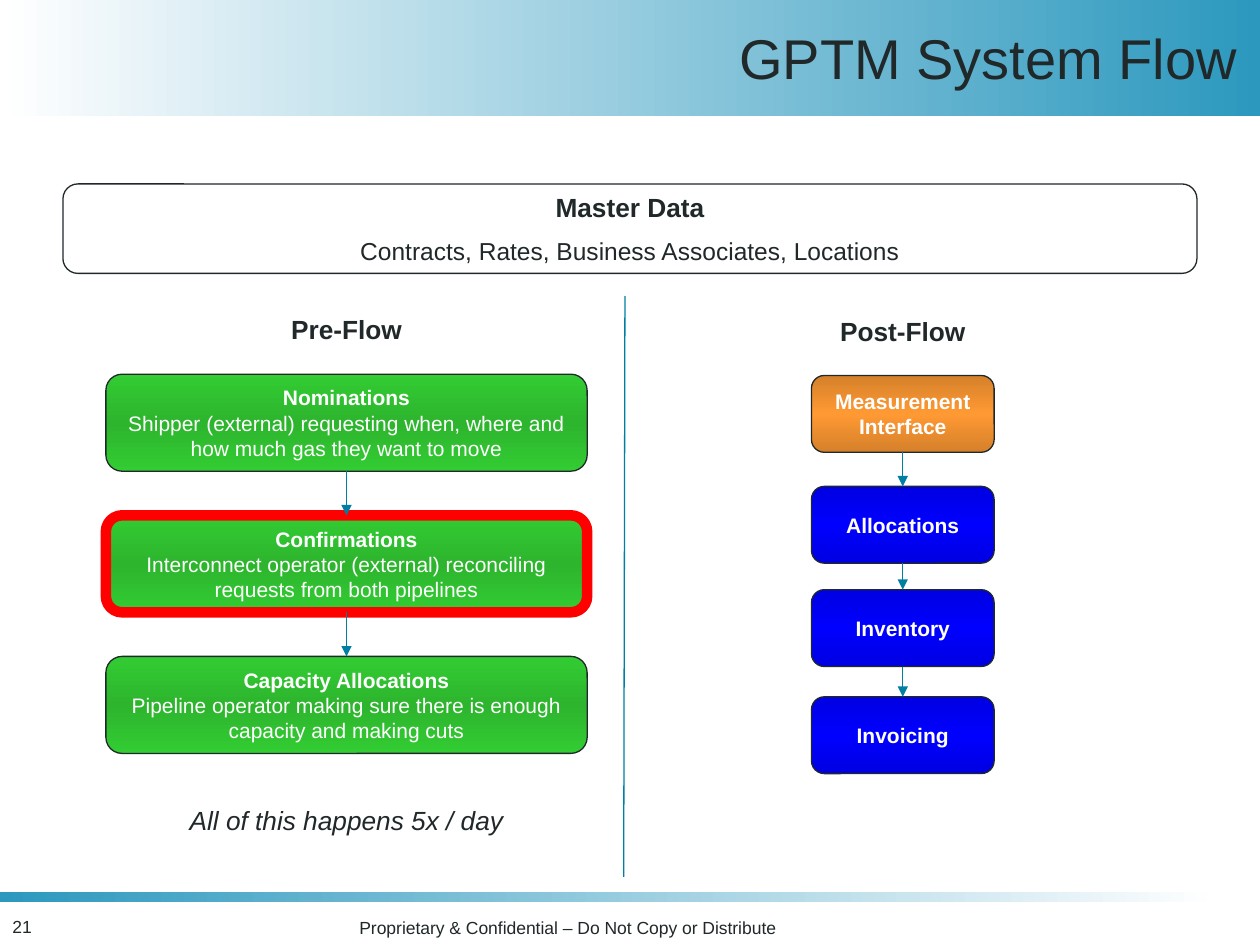
from dataclasses import dataclass
from itertools import pairwise

from lxml.etree import SubElement
from pptx import Presentation
from pptx.dml.color import RGBColor
from pptx.enum.shapes import MSO_CONNECTOR, MSO_SHAPE
from pptx.enum.text import MSO_ANCHOR, PP_ALIGN
from pptx.oxml.ns import qn
from pptx.util import Inches, Pt


@dataclass(frozen=True)
class Theme:
    font: str = "Arial"
    ink: str = "20282A"
    white: str = "FFFFFF"
    teal: str = "2C98BE"
    arrow: str = "007FA2"
    highlight: str = "FF0000"
    green: tuple = ("33CC33", "2DB52D", "33CC33")
    blue: tuple = ("0000E2", "0000FF", "0000E2")
    orange: tuple = ("D5802B", "FF9933", "D5802B")
    title: int = 32
    heading: int = 15
    detail: int = 14
    step: int = 12
    footer: int = 10
    thin: float = 0.75
    thick: float = 6


THEME = Theme()


def inches(box):
    return [Inches(value) for value in box]


def fill_gradient(shape, colors, angle=0):
    """Spread the colours evenly; the angle is in degrees, clockwise."""
    shape.fill.gradient()
    gradient = shape._element.spPr.find(qn("a:gradFill"))
    stops = gradient.find(qn("a:gsLst"))
    for stop in list(stops):
        stops.remove(stop)
    for index, color in enumerate(colors):
        position = round(100000 * index / (len(colors) - 1))
        stop = SubElement(stops, qn("a:gs"), pos=str(position))
        SubElement(stop, qn("a:srgbClr"), val=color)
    gradient.find(qn("a:lin")).set("ang", str(angle * 60000))


def style_paragraph(paragraph, text, size, color=THEME.ink, bold=False,
                    italic=False, align=PP_ALIGN.CENTER):
    paragraph.text = text
    paragraph.alignment = align
    font = paragraph.font
    font.name, font.size = THEME.font, Pt(size)
    font.bold, font.italic = bold, italic
    font.color.rgb = RGBColor.from_string(color)


def add_label(slide, box, text, size, anchor=MSO_ANCHOR.TOP, **style):
    frame = slide.shapes.add_textbox(*inches(box)).text_frame
    frame.word_wrap = True
    frame.vertical_anchor = anchor
    style_paragraph(frame.paragraphs[0], text, size, **style)


def add_band(slide, box, colors):
    band = slide.shapes.add_shape(MSO_SHAPE.RECTANGLE, *inches(box))
    band.shadow.inherit = False
    band.line.fill.background()
    fill_gradient(band, colors)


def add_rounded_box(slide, box, line=THEME.ink, weight=THEME.thin):
    rounded = slide.shapes.add_shape(MSO_SHAPE.ROUNDED_RECTANGLE, *inches(box))
    rounded.shadow.inherit = False
    rounded.line.color.rgb = RGBColor.from_string(line)
    rounded.line.width = Pt(weight)
    rounded.text_frame.word_wrap = True
    rounded.text_frame.vertical_anchor = MSO_ANCHOR.MIDDLE
    return rounded


def add_line(slide, start=(0, 0), end=(0, 0)):
    line = slide.shapes.add_connector(
        MSO_CONNECTOR.STRAIGHT, *inches(start), *inches(end))
    line.line.color.rgb = RGBColor.from_string(THEME.arrow)
    line.line.width = Pt(THEME.thin)
    SubElement(line._element.spPr, qn("a:effectLst"))
    return line


def add_step(slide, box, colors, name, detail=None, **outline):
    step = add_rounded_box(slide, box, **outline)
    fill_gradient(step, colors, 90)
    frame = step.text_frame
    style_paragraph(frame.paragraphs[0], name, THEME.step, THEME.white, bold=True)
    if detail:
        style_paragraph(frame.add_paragraph(), detail, THEME.step, THEME.white)
    return step


def link_steps(slide, steps):
    """Join each step's bottom to the next step's top with an arrow."""
    for upper, lower in pairwise(steps):
        arrow = add_line(slide)
        arrow.begin_connect(upper, 2)
        arrow.end_connect(lower, 0)
        SubElement(arrow.line._get_or_add_ln(), qn("a:tailEnd"), type="triangle")


def add_header(slide, box):
    left, top, width, height = box
    add_band(slide, box, (THEME.white, THEME.teal))
    add_label(slide, (left + 2.5, top + 0.08, width - 2.58, height - 0.17),
              "GPTM System Flow", THEME.title, MSO_ANCHOR.MIDDLE,
              align=PP_ALIGN.RIGHT)


def add_footer(slide, box):
    left, top, width, _ = box
    add_band(slide, (left, top, width, 0.08), (THEME.teal, THEME.white))
    add_label(slide, (left, top + 0.14, 1.25, 0.27), "21", THEME.footer,
              align=PP_ALIGN.LEFT)
    add_label(slide, (left + 2.67, top + 0.15, 3.67, 0.27),
              "Proprietary & Confidential – Do Not Copy or Distribute",
              THEME.footer)


def add_master_data(slide, box):
    master = add_rounded_box(slide, box)
    master.fill.background()
    frame = master.text_frame
    style_paragraph(frame.paragraphs[0], "Master Data", THEME.heading, bold=True)
    contents = frame.add_paragraph()
    style_paragraph(contents, "Contracts, Rates, Business Associates, Locations",
                    THEME.detail)
    contents.space_before = Pt(7.5)


def add_pre_flow(slide, box):
    left, top, width, height = box
    add_label(slide, (left, top, width, 0.35), "Pre-Flow", THEME.heading, bold=True)
    stages = [
        ("Nominations", "Shipper (external) requesting when, where and "
                        "how much gas they want to move", {}),
        ("Confirmations", "Interconnect operator (external) reconciling "
                          "requests from both pipelines",
         {"line": THEME.highlight, "weight": THEME.thick}),
        ("Capacity Allocations", "Pipeline operator making sure there is enough "
                                 "capacity and making cuts", {}),
    ]
    steps = [
        add_step(slide, (left, top + 0.53 + 1.12 * row, width, 0.77),
                 THEME.green, name, detail, **outline)
        for row, (name, detail, outline) in enumerate(stages)
    ]
    link_steps(slide, steps)
    add_label(slide, (left, top + height - 0.35, width, 0.35),
              "All of this happens 5x / day", THEME.heading, italic=True)


def add_post_flow(slide, box):
    left, top, width, _ = box
    add_label(slide, (left, top, width, 0.35), "Post-Flow", THEME.heading, bold=True)
    stages = [
        (0.53, "Measurement Interface", THEME.orange),
        (1.41, "Allocations", THEME.blue),
        (2.23, "Inventory", THEME.blue),
        (3.08, "Invoicing", THEME.blue),
    ]
    steps = [
        add_step(slide, (left + 0.05, top + offset, width - 0.1, 0.61), colors, name)
        for offset, name, colors in stages
    ]
    link_steps(slide, steps)


def main():
    presentation = Presentation()
    presentation.slide_width, presentation.slide_height = Inches(10), Inches(7.5)
    slide = presentation.slides.add_slide(presentation.slide_layouts[6])
    add_header(slide, (0, 0, 10, 0.92))
    add_footer(slide, (0, 7.08, 9.67, 0.42))
    add_master_data(slide, (0.5, 1.46, 9, 0.71))
    add_line(slide, (4.96, 2.35), (4.95, 6.96))
    add_pre_flow(slide, (0.84, 2.44, 3.82, 4.24))
    add_post_flow(slide, (6.39, 2.45, 1.55, 3.7))
    presentation.save("out.pptx")


if __name__ == "__main__":
    main()
